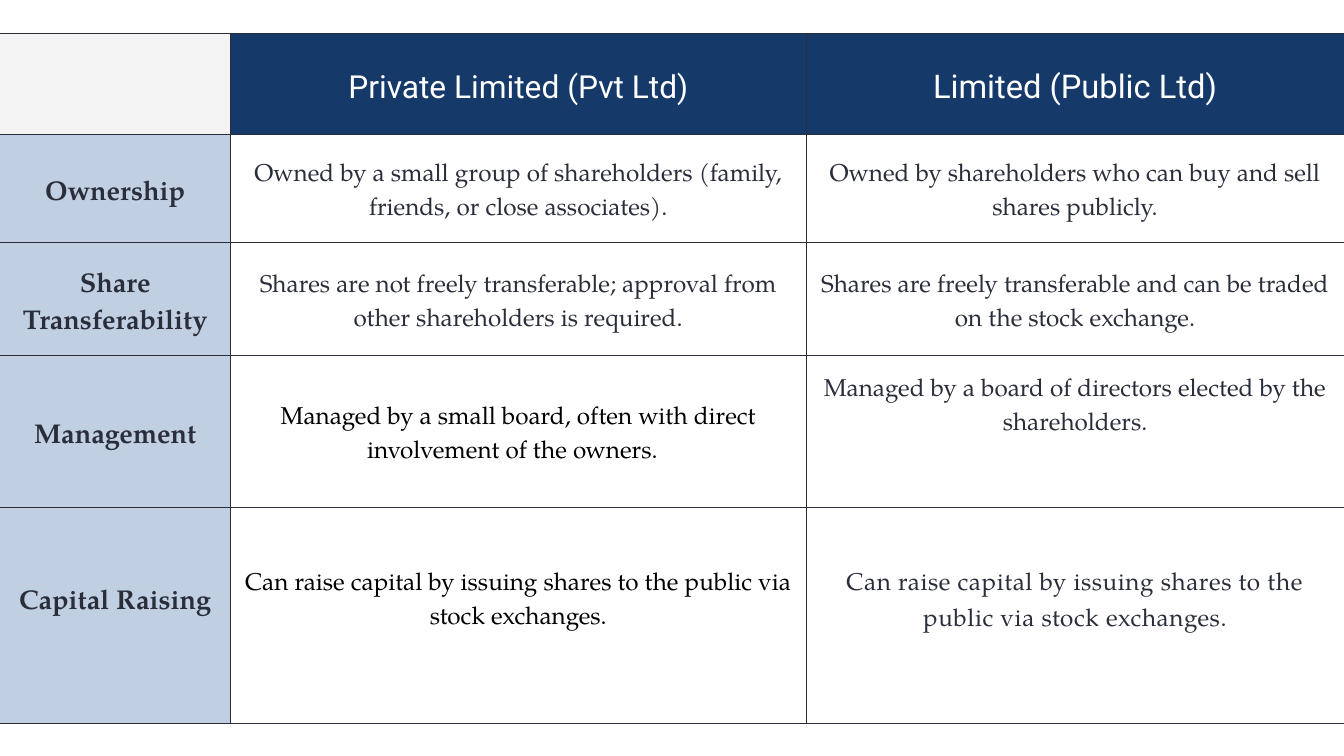
"""Build a slide with a table comparing private limited and public limited companies."""
from lxml.etree import SubElement
from pptx import Presentation
from pptx.dml.color import RGBColor
from pptx.enum.text import MSO_ANCHOR as Anchor, PP_ALIGN as Align
from pptx.oxml.ns import qn
from pptx.util import Inches, Pt

COLORS = {"ink": "2A2E3A", "black": "000000", "white": "FFFFFF",
          "navy": "153969", "sky": "C0CFE1", "grey": "F4F4F4"}
HEADING, BODY = "Roboto", "TeX Gyre Pagella"
COLUMN_WIDTHS = [3.43, 8.57, 8]
ROW_HEIGHTS = [1.51, 1.61, 1.68, 2.26, 3.21]
LINE_FACTOR = 1.4
INSET = Inches(0.21)
COMPARISON = [
    ["", "Private Limited (Pvt Ltd)", "Limited (Public Ltd)"],
    ["Ownership",
     "Owned by a small group of shareholders (family, friends, or close associates).",
     "Owned by shareholders who can buy and sell shares publicly."],
    ["Share Transferability",
     "Shares are not freely transferable; approval from other shareholders is required.",
     "Shares are freely transferable and can be traded on the stock exchange."],
    ["Management",
     "Managed by a small board, often with direct involvement of the owners.\t",
     "Managed by a board of directors elected by the shareholders."],
    ["Capital Raising",
     "Can raise capital by issuing shares to the public via stock exchanges.",
     "Can raise capital by issuing shares to the public via stock exchanges."],
]
HEADER_SIZES = [34, 34, 35]
BLACK_CELLS = {(3, 1), (4, 1)}


def add_borders(cell, open_left):
    properties = cell._tc.get_or_add_tcPr()
    for side in "LRTB":
        hidden = side == "L" and open_left
        line = SubElement(properties, qn(f"a:ln{side}"), w="0" if hidden else str(Pt(0.75)))
        if hidden:
            SubElement(line, qn("a:noFill"))
        else:
            SubElement(SubElement(line, qn("a:solidFill")), qn("a:srgbClr"), val=COLORS["ink"])


prs = Presentation()
prs.slide_width, prs.slide_height = Inches(20), Inches(11.25)
slide = prs.slides.add_slide(prs.slide_layouts[6])
table = slide.shapes.add_table(
    len(ROW_HEIGHTS), len(COLUMN_WIDTHS), Inches(0), Inches(0.49),
    Inches(sum(COLUMN_WIDTHS)), Inches(sum(ROW_HEIGHTS))).table
table.first_row = table.horz_banding = False
for column, width in zip(table.columns, COLUMN_WIDTHS):
    column.width = Inches(width)
for row, height in zip(table.rows, ROW_HEIGHTS):
    row.height = Inches(height)

for r, texts in enumerate(COMPARISON):
    for c, text in enumerate(texts):
        if r == 0:
            font_name, size, ink = HEADING, HEADER_SIZES[c], "white"
            background = "navy" if c else "grey"
        elif c == 0:
            font_name, size, ink, background = BODY, 29, "ink", "sky"
        else:
            font_name, size, background = BODY, 26, None
            ink = "black" if (r, c) in BLACK_CELLS else "ink"

        cell = table.cell(r, c)
        add_borders(cell, open_left=c == 0)
        if background:
            cell.fill.solid()
            cell.fill.fore_color.rgb = RGBColor.from_string(COLORS[background])
        else:
            cell.fill.background()
        cell.margin_left = cell.margin_right = cell.margin_top = cell.margin_bottom = INSET
        cell.vertical_anchor = Anchor.TOP if (r, c) == (3, 2) else Anchor.MIDDLE
        if r == 4:
            cell.margin_bottom = INSET + Inches(0.54)

        cell.text = text
        paragraph = cell.text_frame.paragraphs[0]
        paragraph.alignment = Align.CENTER
        paragraph.line_spacing = Pt(39.2 if (r, c) == (4, 2) else size * LINE_FACTOR)
        paragraph.font.name = font_name
        paragraph.font.size = Pt(size)
        paragraph.font.bold = r > 0 and c == 0
        paragraph.font.color.rgb = RGBColor.from_string(COLORS[ink])

public_capital = table.cell(4, 2).text_frame.paragraphs[0].runs[0]
public_capital._r.get_or_add_rPr().set("spc", "60")

prs.save("out.pptx")
